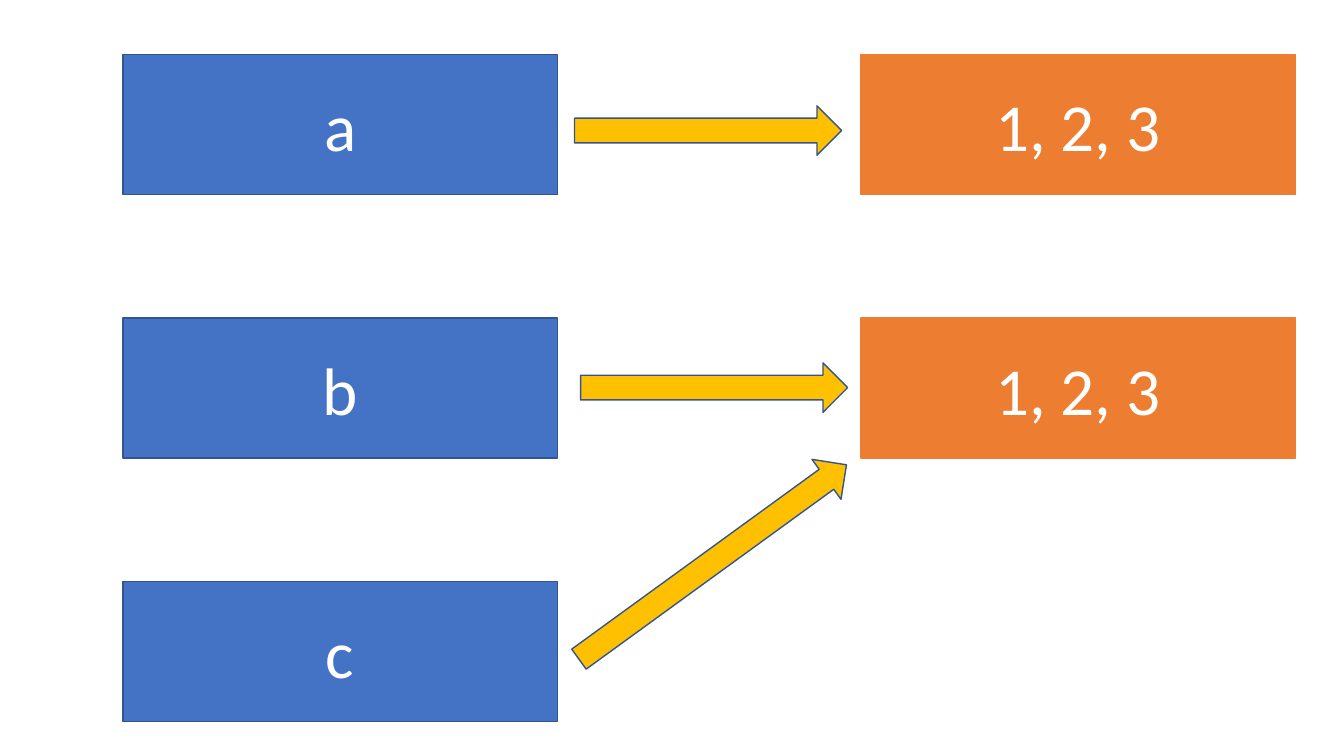
from pptx import Presentation
from pptx import util as u
from pptx.dml.color import RGBColor
from pptx.enum import shapes, text

Pt = u.Pt
COLORS = {
    "variable": "4472C4",
    "value": "ED7D31",
    "arrow": "FFC000",
    "outline": "325491",
    "label": "FFFFFF",
}
BOX_HEIGHT = 100.1
ROW_PITCH = 188.3
ARROW_HEIGHT = 35.3


def color(name):
    return RGBColor.from_string(COLORS[name])


def add_filled_shape(slide, kind, box, fill, outline):
    shape = slide.shapes.add_shape(kind, *(Pt(length) for length in box))
    shape.shadow.inherit = False
    shape.fill.solid()
    shape.fill.fore_color.rgb = color(fill)
    shape.line.color.rgb = color(outline)
    shape.line.width = Pt(1)
    return shape


def add_label(shape, label):
    frame = shape.text_frame
    frame.word_wrap = True
    frame.vertical_anchor = text.MSO_ANCHOR.MIDDLE
    paragraph = frame.paragraphs[0]
    paragraph.alignment = text.PP_ALIGN.CENTER
    run = paragraph.add_run()
    run.text = label
    run.font.name = "Calibri"
    run.font.size = Pt(48)
    run.font.color.rgb = color("label")


def add_column(slide, left, top, width, labels, fill, outline):
    """Stack equally spaced labelled boxes downwards from the top."""
    for row, label in enumerate(labels):
        box = (left, top + row * ROW_PITCH, width, BOX_HEIGHT)
        add_label(add_filled_shape(slide, shapes.MSO_SHAPE.RECTANGLE,
                                   box, fill, outline), label)


def add_arrow(slide, left, top, width, rotation=0):
    box = (left, top, width, ARROW_HEIGHT)
    arrow = add_filled_shape(slide, shapes.MSO_SHAPE.RIGHT_ARROW,
                             box, "arrow", "outline")
    arrow.rotation = rotation


def add_references(slide, left, top):
    """Arrows from variables to values; b and c share one value."""
    add_arrow(slide, left, top, 190.8)
    add_arrow(slide, left + 4.3, top + 183.6, 190.8)
    add_arrow(slide, left - 19.4, top + 308.2, 236.2, rotation=324)


presentation = Presentation()
presentation.slide_width = Pt(960)
presentation.slide_height = Pt(540)
slide = presentation.slides.add_slide(presentation.slide_layouts[6])

# Variables on the left, values on the right
add_column(slide, 87.8, 38.9, 310.3, ["a", "b", "c"], "variable", "outline")
add_column(slide, 614.9, 38.9, 310.3, ["1, 2, 3"] * 2, "value", "value")

# Arrows between the columns
add_references(slide, 410.4, 75.6)

presentation.save("out.pptx")
